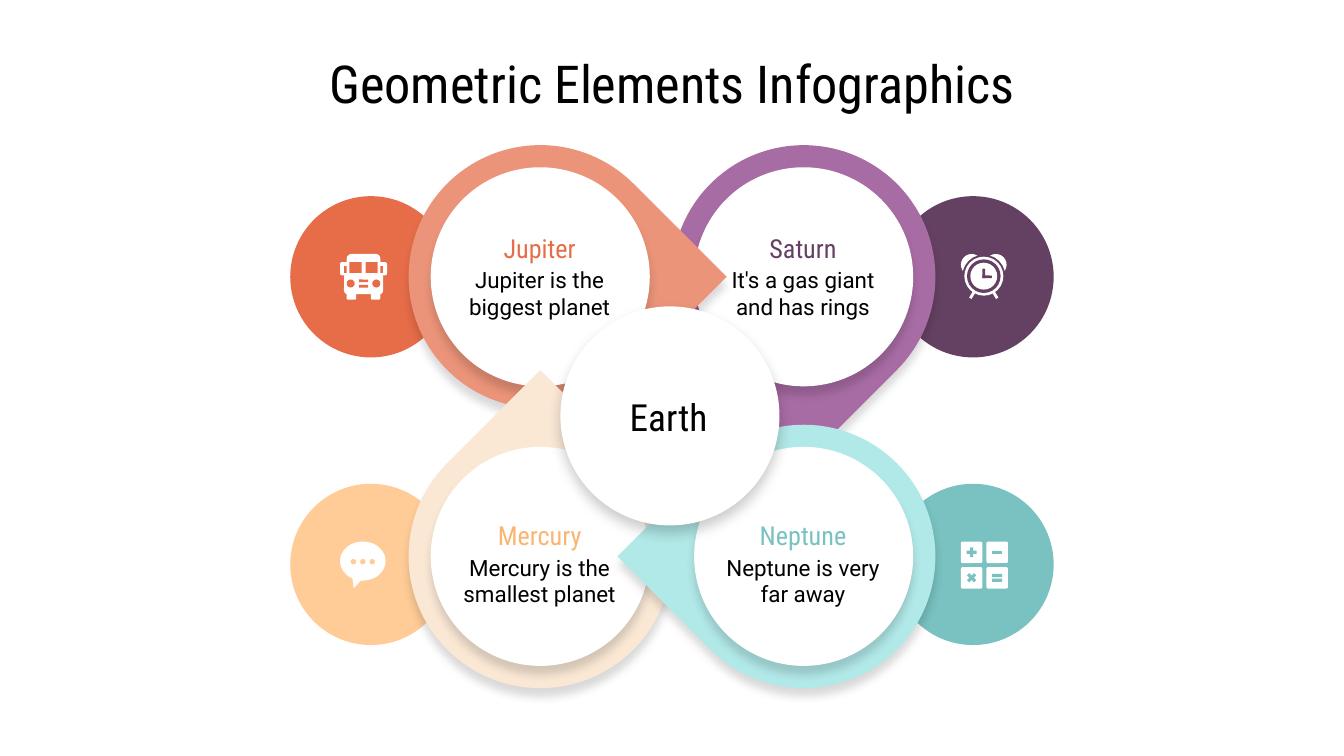
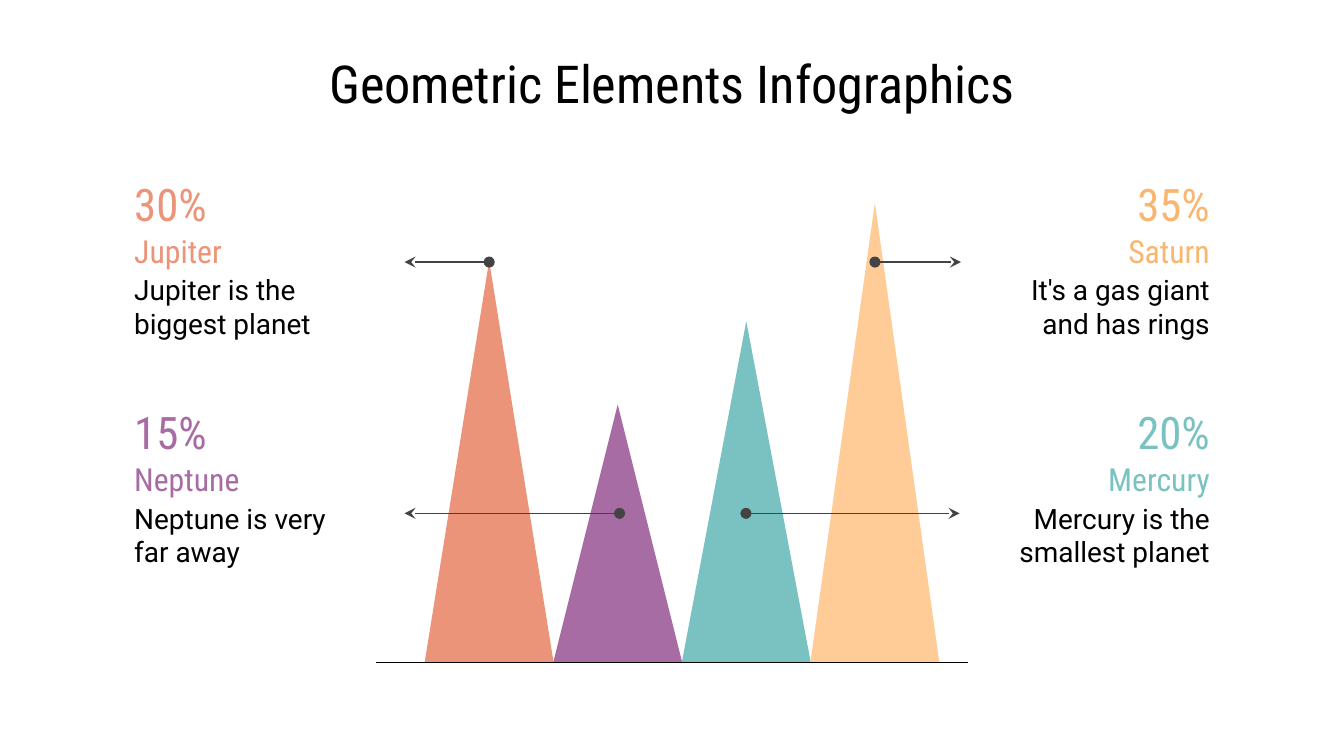
import pptx
import pptx.util
import pptx.dml.color
import pptx.enum.shapes
import pptx.enum.text
import pptx.oxml
import pptx.oxml.ns
import lxml.etree

Inches = pptx.util.Inches
SHAPE = pptx.enum.shapes.MSO_SHAPE
ALIGN = pptx.enum.text.PP_ALIGN
ANCHOR = pptx.enum.text.MSO_ANCHOR
qn = pptx.oxml.ns.qn

BODY_FONT, HEAD_FONT = "Roboto", "Roboto Condensed"
WHITE, BLACK, GREY = "FFFFFF", "000000", "434343"
ORANGE, CORAL = "E76D48", "EB9479"
PLUM, PURPLE = "644162", "A86CA5"
PEACH, CREAM, AMBER = "FFCC97", "FAE8D5", "F9B671"
TEAL, AQUA = "79C2C1", "B1E9E8"

FACTS = {
    "Jupiter": "Jupiter is the biggest planet",
    "Saturn": "It's a gas giant and has rings",
    "Mercury": "Mercury is the smallest planet",
    "Neptune": "Neptune is very far away",
}

DISC, RING, CORE = 1.2, 1.96, 1.63
RING_INSET = (RING - CORE) / 2
# name: disc left, disc top, ring left, ring top, tip angle, disc, ring, heading colours
PLANETS = {
    "Saturn": (6.64, 1.46, 5, 1.08, 135, PLUM, PURPLE, PLUM),
    "Jupiter": (2.16, 1.46, 3.04, 1.08, 45, ORANGE, CORAL, ORANGE),
    "Mercury": (2.16, 3.6, 3.04, 3.16, 315, PEACH, CREAM, AMBER),
    "Neptune": (6.64, 3.6, 5, 3.16, 225, TEAL, AQUA, TEAL),
}

PEAK_BASE, PEAK_LEFT, PEAK_WIDTH, PEAK_STEP = 4.93, 3.16, 0.96, 2.87 / 3
PEAKS = [(2.99, CORAL), (1.92, PURPLE), (2.54, TEAL), (3.42, PEACH)]
POINTERS = [(3.64, 3.01, 1.95), (4.61, 3.01, 3.82),
            (5.55, 7.14, 3.82), (6.51, 7.15, 1.95)]
CALLOUT_WIDTH = 1.69
CALLOUTS = [
    (0.9, 1.38, "30%", "Jupiter", CORAL, ALIGN.LEFT),
    (7.41, 1.38, "35%", "Saturn", AMBER, ALIGN.RIGHT),
    (0.9, 3.08, "15%", "Neptune", PURPLE, ALIGN.LEFT),
    (7.41, 3.08, "20%", "Mercury", TEAL, ALIGN.RIGHT),
]


def rgb(value):
    return pptx.dml.color.RGBColor.from_string(value)


def add_filled(slide, kind, left, top, width, height, colour):
    shape = slide.shapes.add_shape(
        kind, Inches(left), Inches(top), Inches(width), Inches(height))
    shape.shadow.inherit = False
    shape.fill.solid()
    shape.fill.fore_color.rgb = rgb(colour)
    shape.line.fill.background()
    return shape


def add_shadow(shape, opacity=15, blur=4.5, distance=4.5):
    """Drop a soft black shadow straight down."""
    effects = shape.element.spPr.find(qn("a:effectLst"))
    shadow = lxml.etree.SubElement(
        effects, qn("a:outerShdw"), blurRad=str(pptx.util.Pt(blur)),
        dist=str(pptx.util.Pt(distance)), dir="5400000", algn="bl", rotWithShape="0")
    black = lxml.etree.SubElement(shadow, qn("a:srgbClr"), val=BLACK)
    lxml.etree.SubElement(black, qn("a:alpha"), val=str(opacity * 1000))


def add_text(slide, left, top, width, height, words, size, font=HEAD_FONT,
             colour=BLACK, align=ALIGN.CENTER, anchor=ANCHOR.MIDDLE):
    box = slide.shapes.add_textbox(
        Inches(left), Inches(top), Inches(width), Inches(height))
    frame = box.text_frame
    frame.word_wrap = True
    frame.vertical_anchor = anchor
    frame.margin_left = frame.margin_right = Inches(0.1)
    frame.margin_top = frame.margin_bottom = Inches(0.1)
    paragraph = frame.paragraphs[0]
    paragraph.alignment = align
    run = paragraph.add_run()
    run.text = words
    run.font.size = pptx.util.Pt(size)
    run.font.name = font
    run.font.color.rgb = rgb(colour)


def add_line(slide, start, end, colour, ends=(), weight=0.75):
    line = slide.shapes.add_connector(
        pptx.enum.shapes.MSO_CONNECTOR.STRAIGHT,
        *(Inches(value) for value in (*start, *end)))
    line.line.color.rgb = rgb(colour)
    line.line.width = pptx.util.Pt(weight)
    properties = line.element.spPr
    for tag, kind in ends:
        lxml.etree.SubElement(properties.find(qn("a:ln")), qn(tag), type=kind)
    lxml.etree.SubElement(properties, qn("a:effectLst"))


def add_titled_slide(deck):
    slide = deck.slides.add_slide(deck.slide_layouts[6])
    slide.background.fill.solid()
    slide.background.fill.fore_color.rgb = rgb(WHITE)
    add_text(slide, 0.4, 0.28, 9.2, 0.63, "Geometric Elements Infographics",
             28, anchor=ANCHOR.TOP)
    return slide


def draw_icon(slide, left, top, parts):
    """Place (kind, x, y, width, height, colour) parts, in hundredths of an inch."""
    return [add_filled(slide, kind, left + x / 100, top + y / 100,
                       width / 100, height / 100, colour)
            for kind, x, y, width, height, colour in parts]


def draw_bus(slide, left, top, colour):
    block, lamp, panel = SHAPE.ROUNDED_RECTANGLE, SHAPE.OVAL, SHAPE.RECTANGLE
    parts = [(block, 0, 6, 35, 10, WHITE), (block, 5, 0, 25, 20, WHITE),
             (block, 3, 14, 29, 16, WHITE)]
    parts += [(block, x, 26, 7, 8, WHITE) for x in (5, 23)]
    parts += [(panel, x, 6, 9, 8, colour) for x in (7, 19)]
    parts += [(panel, x, 9, 2, 5, colour) for x in (3, 30)]
    parts += [(lamp, x, 19, 6, 6, colour) for x in (5, 24)]
    parts += [(block, 14, y, 7, 2, colour) for y in (19, 23)]
    draw_icon(slide, left, top, parts)


def draw_clock(slide, left, top, colour):
    centre_x, centre_y = 17, 16.5

    def rounds(*layers):
        return [(SHAPE.OVAL, centre_x - r, centre_y - r, 2 * r, 2 * r, tone)
                for r, tone in layers]

    bells = [(SHAPE.OVAL, x, 0, 16, 16, WHITE) for x in (0, 18)]
    draw_icon(slide, left, top, bells + rounds((16, colour)))
    for side in (-1, 1):
        add_line(slide, (left + 0.17 + side * 0.07, top + 0.28),
                 (left + 0.17 + side * 0.1, top + 0.33), WHITE, weight=1.5)
    hands = [(SHAPE.ROUNDED_RECTANGLE, 16, 11, 2, 7, colour),
             (SHAPE.ROUNDED_RECTANGLE, 16, 16, 7, 2, colour)]
    draw_icon(slide, left, top,
              rounds((14.5, WHITE), (12.5, colour), (10, WHITE)) + hands)


def draw_speech(slide, left, top, colour):
    parts = [(SHAPE.OVAL_CALLOUT, 0, 0, 34, 29, WHITE)]
    parts += [(SHAPE.OVAL, x, 13, 4, 4, colour) for x in (8, 15, 22)]
    bubble = draw_icon(slide, left, top, parts)[0]
    bubble.adjustments[0], bubble.adjustments[1] = -0.2, 0.7


def draw_calculator(slide, left, top, colour):
    signs = [SHAPE.MATH_PLUS, SHAPE.MATH_MINUS, SHAPE.MATH_MULTIPLY, SHAPE.MATH_EQUAL]
    for index, sign in enumerate(signs):
        x, y = index % 2 * 19, index // 2 * 19
        key = draw_icon(slide, left, top, [
            (SHAPE.ROUNDED_RECTANGLE, x, y, 16, 16, WHITE),
            (sign, x + 3, y + 3, 10, 10, colour)])[0]
        key.adjustments[0] = 0.08


ICONS = {"Jupiter": draw_bus, "Saturn": draw_clock,
         "Mercury": draw_speech, "Neptune": draw_calculator}


def draw_planet(slide, name):
    disc_left, disc_top, left, top, angle, disc_colour, ring_colour, _ = PLANETS[name]
    add_filled(slide, SHAPE.OVAL, disc_left, disc_top, DISC, DISC, disc_colour)
    ring = add_filled(slide, SHAPE.TEAR, left, top, RING, RING, ring_colour)
    ring.rotation = angle
    add_shadow(ring)
    add_shadow(add_filled(slide, SHAPE.OVAL, left + RING_INSET, top + RING_INSET,
                          CORE, CORE, WHITE))


def label_planet(slide, name):
    disc_left, disc_top, left, _, _, disc_colour, _, heading = PLANETS[name]
    add_text(slide, left + 0.3, disc_top + 0.48, 1.35, 0.48, FACTS[name], 12, BODY_FONT)
    add_text(slide, left + 0.3, disc_top + 0.25, 1.35, 0.27, name, 14, colour=heading)
    icon_offset = 0.37 if disc_left < left else 0.51
    ICONS[name](slide, disc_left + icon_offset, disc_top + 0.43, disc_colour)


def build_planet_slide(deck):
    slide = add_titled_slide(deck)
    for name in PLANETS:
        draw_planet(slide, name)
    earth = add_filled(slide, SHAPE.OVAL, 4.17, 2.28, CORE, CORE, WHITE)
    add_shadow(earth, 20, 6.8, 3.8)
    for name in PLANETS:
        label_planet(slide, name)
    add_text(slide, 4.3, 2.93, 1.35, 0.34, "Earth", 20)


def draw_callout(slide, left, top, share, name, colour, align):
    add_text(slide, left, top + 0.66, CALLOUT_WIDTH, 0.48, FACTS[name], 15,
             BODY_FONT, align=align)
    add_text(slide, left, top + 0.35, CALLOUT_WIDTH, 0.27, name, 17,
             colour=colour, align=align)
    add_text(slide, left, top, CALLOUT_WIDTH, 0.27, share, 24,
             colour=colour, align=align)


def build_peak_slide(deck):
    slide = add_titled_slide(deck)
    for index, (height, colour) in enumerate(PEAKS):
        add_filled(slide, SHAPE.ISOSCELES_TRIANGLE, PEAK_LEFT + index * PEAK_STEP,
                   PEAK_BASE - height, PEAK_WIDTH, height, colour)
    add_line(slide, (2.8, PEAK_BASE), (7.2, PEAK_BASE), BLACK)
    for start, end, y in POINTERS:
        add_line(slide, (start, y), (end, y), GREY,
                 [("a:headEnd", "oval"), ("a:tailEnd", "stealth")])
    for callout in CALLOUTS:
        draw_callout(slide, *callout)


def main():
    deck = pptx.Presentation()
    deck.slide_width = Inches(10)
    deck.slide_height = deck.slide_width * 9 // 16
    build_planet_slide(deck)
    build_peak_slide(deck)
    deck.save("out.pptx")


if __name__ == "__main__":
    main()
